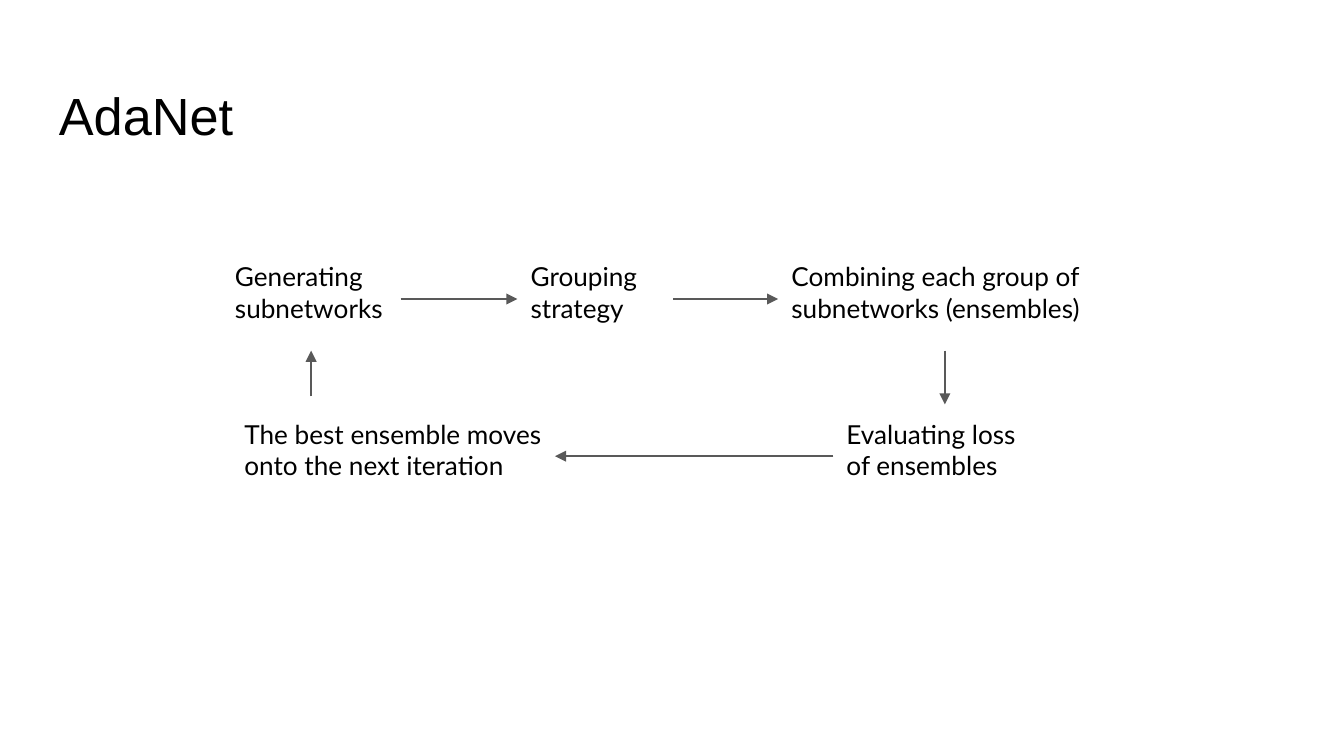
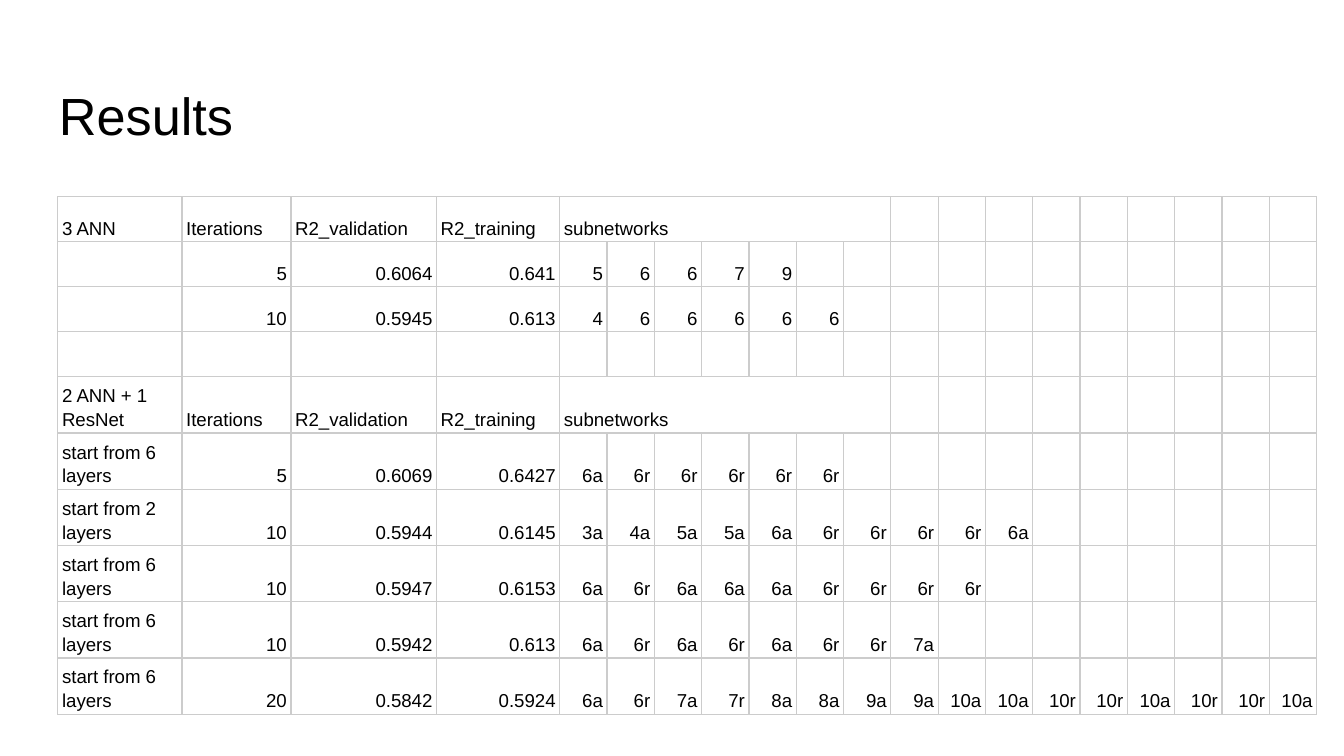
from dataclasses import dataclass

import pptx
import pptx.dml.color
import pptx.enum.shapes
import pptx.enum.text
import pptx.oxml
import pptx.oxml.ns
import pptx.presentation
import pptx.shapes.connector
import pptx.slide
import pptx.table
import pptx.text.text
import pptx.util

Pt = pptx.util.Pt
ALIGN = pptx.enum.text.PP_ALIGN
ANCHOR = pptx.enum.text.MSO_ANCHOR

TEXT_COLOR = "000000"
ARROW_COLOR = "595959"
GRID_COLOR = "CCCCCC"
BACKGROUND = "FFFFFF"
TITLE_FONT = "Arial"
FLOW_FONT = "Lato"
LINE_WIDTH = 0.75
INSET = 7.2
STEP_HEIGHT = 55.4


@dataclass(frozen=True)
class Step:
    text: str
    left: float
    top: float
    width: float

    @property
    def right(self) -> float:
        return self.left + self.width

    @property
    def bottom(self) -> float:
        return self.top + STEP_HEIGHT

    @property
    def center(self) -> float:
        return self.left + self.width / 2

    @property
    def middle(self) -> float:
        return self.top + STEP_HEIGHT / 2


@dataclass(frozen=True)
class Arrow:
    start: tuple[float, float]
    end: tuple[float, float]


TOP_ROW, BOTTOM_ROW = 132.5, 216.7
GENERATING = Step("Generating subnetworks", 118.8, TOP_ROW, 95.8)
GROUPING = Step("Grouping strategy", 277.2, TOP_ROW, 83.5)
COMBINING = Step("Combining each group of subnetworks (ensembles)", 416.9, TOP_ROW, 178.6)
EVALUATING = Step("Evaluating loss of ensembles", 446.4, BOTTOM_ROW, 119.5)
BEST = Step("The best ensemble moves onto the next iteration", 123.8, BOTTOM_ROW, 173.5)
STEPS = (GENERATING, GROUPING, COMBINING, EVALUATING, BEST)

ARROWS = (
    Arrow((GENERATING.right, GENERATING.middle), (GROUPING.left, GROUPING.middle)),
    Arrow((GROUPING.right, GROUPING.middle), (COMBINING.left, COMBINING.middle)),
    Arrow((COMBINING.center, COMBINING.bottom), (COMBINING.center, EVALUATING.top)),
    Arrow((EVALUATING.left, EVALUATING.middle), (BEST.right, BEST.middle)),
    Arrow((GENERATING.center, 212.4), (GENERATING.center, GENERATING.bottom)),
)

COLUMN_HEADS = ["Iterations", "R2_validation", "R2_training", "subnetworks"]
SUBNETWORK_COLUMN = 4
SUBNETWORK_COUNT = 16
HEAD_SPAN = 7
COLUMN_WIDTHS = [66.5, 58.4, 78, 66] + [25.35] * SUBNETWORK_COUNT
ROW_HEIGHTS = [23.2] * 4 + [28.6] * 6
RESULTS = [
    ["3 ANN", *COLUMN_HEADS],
    ["", "5", "0.6064", "0.641", *"5 6 6 7 9".split()],
    ["", "10", "0.5945", "0.613", *"4 6 6 6 6 6".split()],
    [],
    ["2 ANN + 1 ResNet", *COLUMN_HEADS],
    ["start from 6 layers", "5", "0.6069", "0.6427", *"6a 6r 6r 6r 6r 6r".split()],
    ["start from 2 layers", "10", "0.5944", "0.6145",
     *"3a 4a 5a 5a 6a 6r 6r 6r 6r 6a".split()],
    ["start from 6 layers", "10", "0.5947", "0.6153",
     *"6a 6r 6a 6a 6a 6r 6r 6r 6r".split()],
    ["start from 6 layers", "10", "0.5942", "0.613",
     *"6a 6r 6a 6r 6a 6r 6r 7a".split()],
    ["start from 6 layers", "20", "0.5842", "0.5924",
     *"6a 6r 7a 7r 8a 8a 9a 9a 10a 10a 10r 10r 10a 10r 10r 10a".split()],
]


def rgb(color: str) -> pptx.dml.color.RGBColor:
    return pptx.dml.color.RGBColor.from_string(color)


def style_text(frame: pptx.text.text.TextFrame, font: str, size: float) -> None:
    for paragraph in frame.paragraphs:
        for run in paragraph.runs:
            run.font.name = font
            run.font.size = Pt(size)
            run.font.color.rgb = rgb(TEXT_COLOR)


def add_text(slide: pptx.slide.Slide, text: str, left: float, top: float, width: float,
             height: float, font: str, size: float, inset_top: float = INSET) -> None:
    box = slide.shapes.add_textbox(Pt(left), Pt(top), Pt(width), Pt(height))
    frame = box.text_frame
    frame.word_wrap = True
    frame.margin_left = frame.margin_right = frame.margin_bottom = Pt(INSET)
    frame.margin_top = Pt(inset_top)
    frame.text = text
    style_text(frame, font, size)


def add_titled_slide(deck: pptx.presentation.Presentation, title: str) -> pptx.slide.Slide:
    slide = deck.slides.add_slide(deck.slide_layouts[6])
    slide.background.fill.solid()
    slide.background.fill.fore_color.rgb = rgb(BACKGROUND)
    add_text(slide, title, 24.5, 35, 671, 45.4, TITLE_FONT, 28, inset_top=9.7)
    return slide


def add_arrow(slide: pptx.slide.Slide, arrow: Arrow) -> None:
    connector = slide.shapes.add_connector(
        pptx.enum.shapes.MSO_CONNECTOR.STRAIGHT,
        *(Pt(value) for value in arrow.start + arrow.end))
    connector.line.color.rgb = rgb(ARROW_COLOR)
    connector.line.width = Pt(LINE_WIDTH)
    head = pptx.oxml.parse_xml(
        f'<a:tailEnd {pptx.oxml.ns.nsdecls("a")} type="triangle" w="med" len="med"/>')
    connector.line._get_or_add_ln().append(head)
    connector._element.spPr.append(
        pptx.oxml.parse_xml(f'<a:effectLst {pptx.oxml.ns.nsdecls("a")}/>'))


def add_borders(cell: pptx.table._Cell) -> None:
    """Put the grid line on all four sides, ahead of the fill as the schema asks."""
    properties = cell._tc.get_or_add_tcPr()
    for position, side in enumerate(("lnL", "lnR", "lnT", "lnB")):
        properties.insert(position, pptx.oxml.parse_xml(
            f'<a:{side} {pptx.oxml.ns.nsdecls("a")} w="{Pt(LINE_WIDTH)}">'
            f'<a:solidFill><a:srgbClr val="{GRID_COLOR}"/></a:solidFill></a:{side}>'))


def fill_cell(cell: pptx.table._Cell, text: str, align_right: bool) -> None:
    cell.fill.background()
    add_borders(cell)
    cell.margin_left = cell.margin_right = Pt(2.25)
    cell.margin_top = cell.margin_bottom = Pt(1.25)
    cell.vertical_anchor = ANCHOR.BOTTOM
    if not text:
        return
    cell.text_frame.text = text
    paragraph = cell.text_frame.paragraphs[0]
    paragraph.alignment = ALIGN.RIGHT if align_right else ALIGN.LEFT
    paragraph.line_spacing = 1.15
    style_text(cell.text_frame, TITLE_FONT, 10)


def add_results_table(slide: pptx.slide.Slide) -> None:
    table = slide.shapes.add_table(
        len(ROW_HEIGHTS), len(COLUMN_WIDTHS), Pt(31), Pt(105.4),
        Pt(sum(COLUMN_WIDTHS)), Pt(sum(ROW_HEIGHTS))).table
    table.first_row = table.horz_banding = False
    for column, width in zip(table.columns, COLUMN_WIDTHS):
        column.width = Pt(width)
    for row, height in zip(table.rows, ROW_HEIGHTS):
        row.height = Pt(height)
    for r, values in enumerate(RESULTS):
        is_head = values[1:] == COLUMN_HEADS
        padded = values + [""] * (len(COLUMN_WIDTHS) - len(values))
        for c, value in enumerate(padded):
            fill_cell(table.cell(r, c), value, align_right=c > 0 and not is_head)
        if is_head:
            last = SUBNETWORK_COLUMN + HEAD_SPAN - 1
            table.cell(r, SUBNETWORK_COLUMN).merge(table.cell(r, last))


def main() -> None:
    deck = pptx.Presentation()
    deck.slide_width, deck.slide_height = Pt(720), Pt(405)

    process = add_titled_slide(deck, "AdaNet")
    for step in STEPS:
        add_text(process, step.text, step.left, step.top, step.width, STEP_HEIGHT,
                 FLOW_FONT, 14)
    for arrow in ARROWS:
        add_arrow(process, arrow)

    add_results_table(add_titled_slide(deck, "Results"))
    deck.save("out.pptx")


if __name__ == "__main__":
    main()
